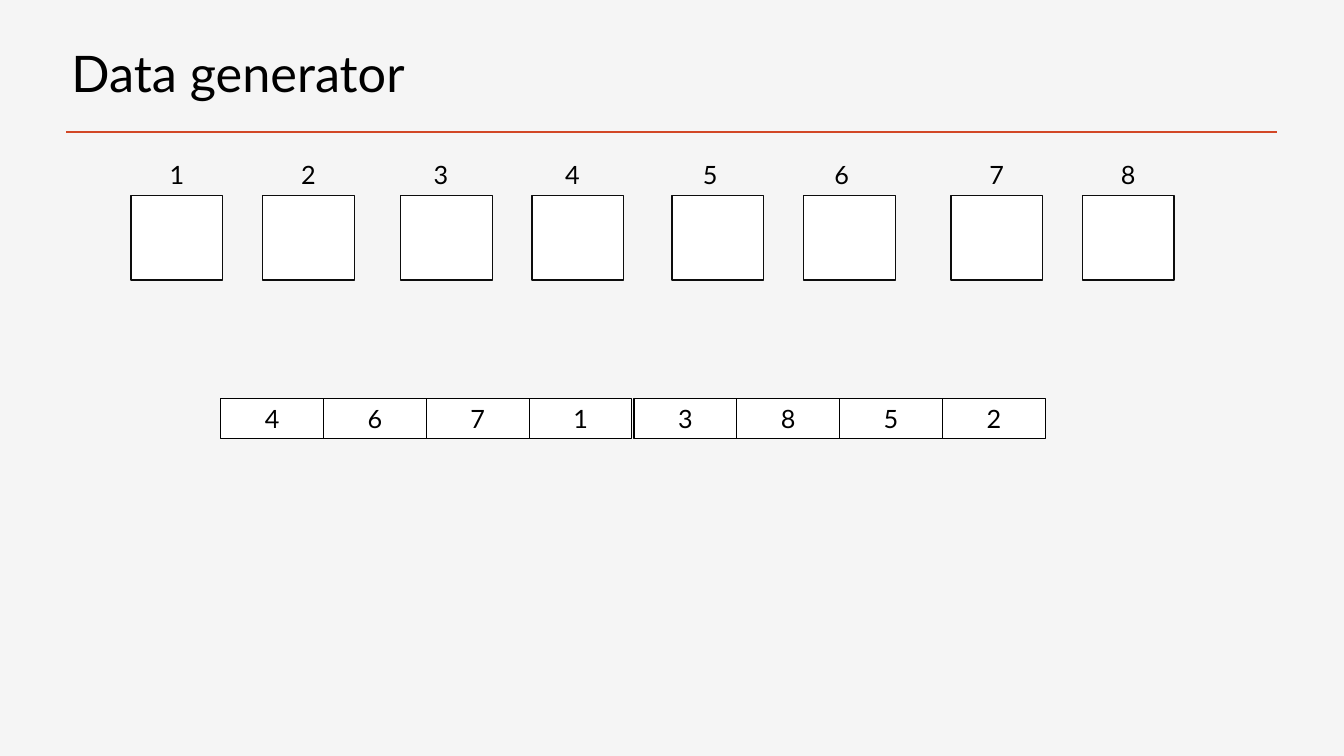
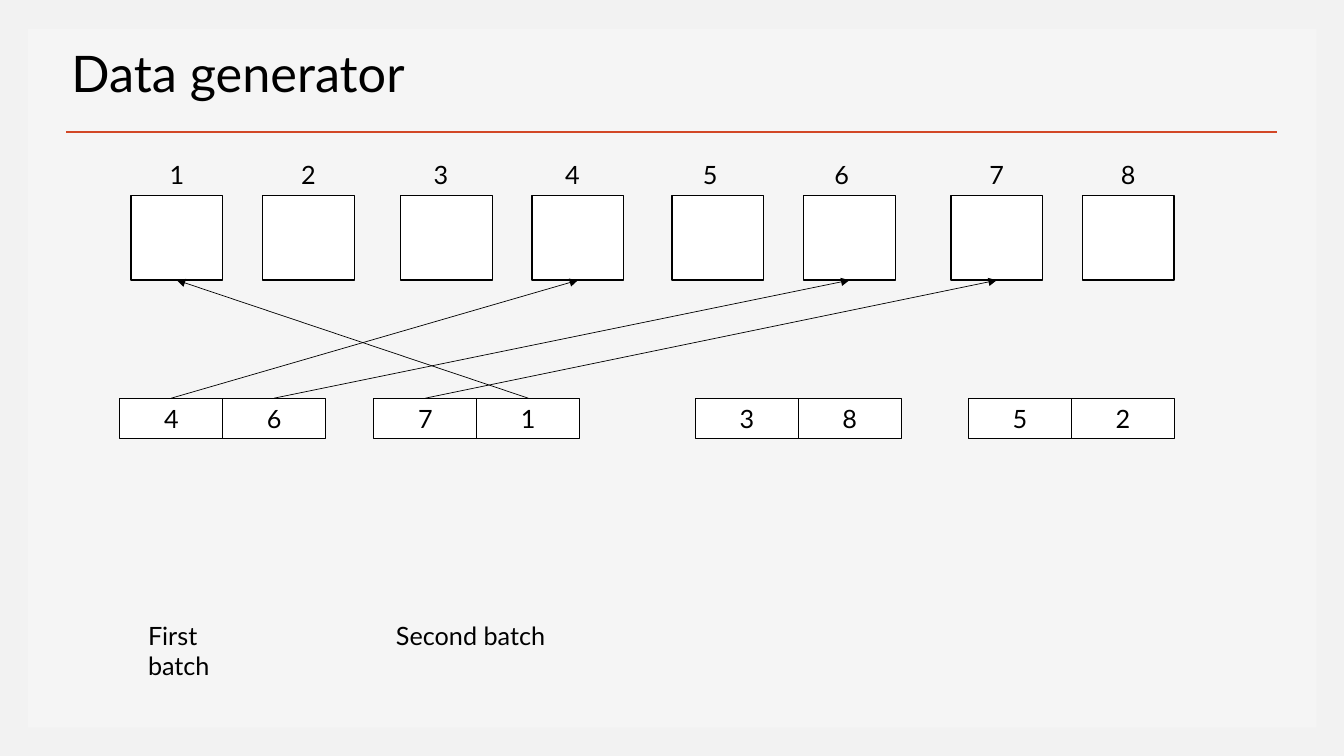
from dataclasses import dataclass

from lxml.etree import SubElement
from pptx import Presentation
from pptx.dml.color import RGBColor
from pptx.enum.shapes import MSO_CONNECTOR as Connector, MSO_SHAPE as Shape
from pptx.enum.text import MSO_ANCHOR as Anchor, PP_ALIGN as Align
from pptx.oxml.ns import qn
from pptx.util import Inches, Pt

COLUMNS, ROWS = 80, 45
TOP, BOTTOM = 0, 2


@dataclass(frozen=True)
class Theme:
    font: str = "Lato"
    title_size: int = 36
    body_size: int = 18
    ink: str = "000000"
    soft_ink: str = "0D0D0D"
    paper: str = "F5F5F5"
    frame: str = "F2F2F2"
    white: str = "FFFFFF"
    accent: str = "D24726"


def color(code):
    return RGBColor.from_string(code)


def write(shape, text, *, font, size, ink, align=Align.LEFT, anchor=Anchor.TOP, wrap=True):
    frame = shape.text_frame
    frame.word_wrap = wrap
    frame.vertical_anchor = anchor
    paragraph = frame.paragraphs[0]
    paragraph.alignment = align
    run = paragraph.add_run()
    run.text = text
    run.font.name, run.font.size = font, Pt(size)
    run.font.color.rgb = color(ink)


class Deck:
    """Draws on the current slide; lengths are in grid columns and rows."""

    def __init__(self, theme):
        self.theme = theme
        self.presentation = Presentation()
        self.presentation.slide_width = Inches(13.33)
        self.presentation.slide_height = Inches(7.5)
        self.slide = None

    def x(self, columns):
        return round(self.presentation.slide_width * columns / COLUMNS)

    def y(self, rows):
        return round(self.presentation.slide_height * rows / ROWS)

    def place(self, left, top, width, height):
        return self.x(left), self.y(top), self.x(width), self.y(height)

    def new_slide(self, background):
        self.slide = self.presentation.slides.add_slide(self.presentation.slide_layouts[6])
        fill = self.slide.background.fill
        fill.solid()
        fill.fore_color.rgb = color(background)

    def heading(self, title):
        rule = self.line(3.96, 7.86, 76.02, 7.86)
        self.style_line(rule, self.theme.accent, 2)
        self.text(title, 3.66, 2.22, 67.26, 4.2, size=self.theme.title_size, anchor=Anchor.BOTTOM)

    def text(self, text, left, top, width, height, size=None, **options):
        box = self.slide.shapes.add_textbox(*self.place(left, top, width, height))
        write(box, text, font=self.theme.font, size=size or self.theme.body_size,
              ink=self.theme.ink, **options)

    def rectangle(self, left, top, width, height, fill, outline=None, weight=1):
        shape = self.slide.shapes.add_shape(Shape.RECTANGLE, *self.place(left, top, width, height))
        shape.shadow.inherit = False
        shape.fill.solid()
        shape.fill.fore_color.rgb = color(fill)
        if outline:
            self.style_line(shape, outline, weight)
        else:
            shape.line.fill.background()
        return shape

    def cell(self, text, left, top, width, height):
        shape = self.rectangle(left, top, width, height, self.theme.white, self.theme.ink, 0.75)
        write(shape, text, font=self.theme.font, size=self.theme.body_size,
              ink=self.theme.ink, align=Align.CENTER, anchor=Anchor.MIDDLE)
        return shape

    def style_line(self, shape, ink, weight):
        shape.line.color.rgb = color(ink)
        shape.line.width = Pt(weight)

    def line(self, x1, y1, x2, y2):
        connector = self.slide.shapes.add_connector(
            Connector.STRAIGHT, self.x(x1), self.y(y1), self.x(x2), self.y(y2))
        SubElement(connector.line._get_or_add_ln().getparent(), qn("a:effectLst"))
        return connector

    def arrow(self, source, target):
        """Joins the top of source to the bottom of target."""
        connector = self.line(0, 0, 0, 0)
        connector.begin_connect(source, TOP)
        connector.end_connect(target, BOTTOM)
        self.style_line(connector, self.theme.ink, 0.5)
        SubElement(connector.line._get_or_add_ln(), qn("a:tailEnd"), type="triangle")


PAIR_PITCH = 7.83
BOX_PAIRS = (7.8, 23.84, 40, 56.6)
LABEL_PAIRS = (9.5, 25.22, 41.24, 58.3)
CELL_WIDTH = 6.12
BATCHES = ("46", "71", "38", "52")


def draw_samples(deck, outline):
    """Draws the numbered boxes and returns them by number."""
    boxes = {}
    for pair, (box_left, label_left) in enumerate(zip(BOX_PAIRS, LABEL_PAIRS)):
        for side in range(2):
            number = str(2 * pair + side + 1)
            shift = side * PAIR_PITCH
            boxes[number] = deck.rectangle(
                box_left + shift, 11.64, 5.46, 5.04, deck.theme.white, outline)
            deck.text(number, label_left + shift, 9.18, 2.04, 2.4, wrap=False)
    return boxes


def draw_batches(deck, lefts):
    """Draws the shuffled numbers in pairs and returns the cells by number."""
    return {
        number: deck.cell(number, left + side * CELL_WIDTH, 23.7, CELL_WIDTH, 2.4)
        for left, batch in zip(lefts, BATCHES)
        for side, number in enumerate(batch)
    }


def main():
    theme = Theme()
    deck = Deck(theme)

    deck.new_slide(theme.paper)
    deck.heading("Data generator")
    draw_samples(deck, theme.soft_ink)
    draw_batches(deck, (13.14, 25.38, 37.74, 49.98))

    deck.new_slide(theme.frame)
    deck.rectangle(1.68, 1.74, 76.68, 41.58, theme.paper)
    deck.heading("Data generator")
    boxes = draw_samples(deck, theme.ink)
    cells = draw_batches(deck, (7.14, 22.26, 41.4, 57.66))
    for number in "".join(BATCHES[:2]):
        deck.arrow(cells[number], boxes[number])
    deck.text("First batch", 8.22, 36.6, 6, 4.2)
    deck.text("Second batch", 22.98, 36.6, 10.26, 2.4, wrap=False)

    deck.presentation.save("out.pptx")


if __name__ == "__main__":
    main()
